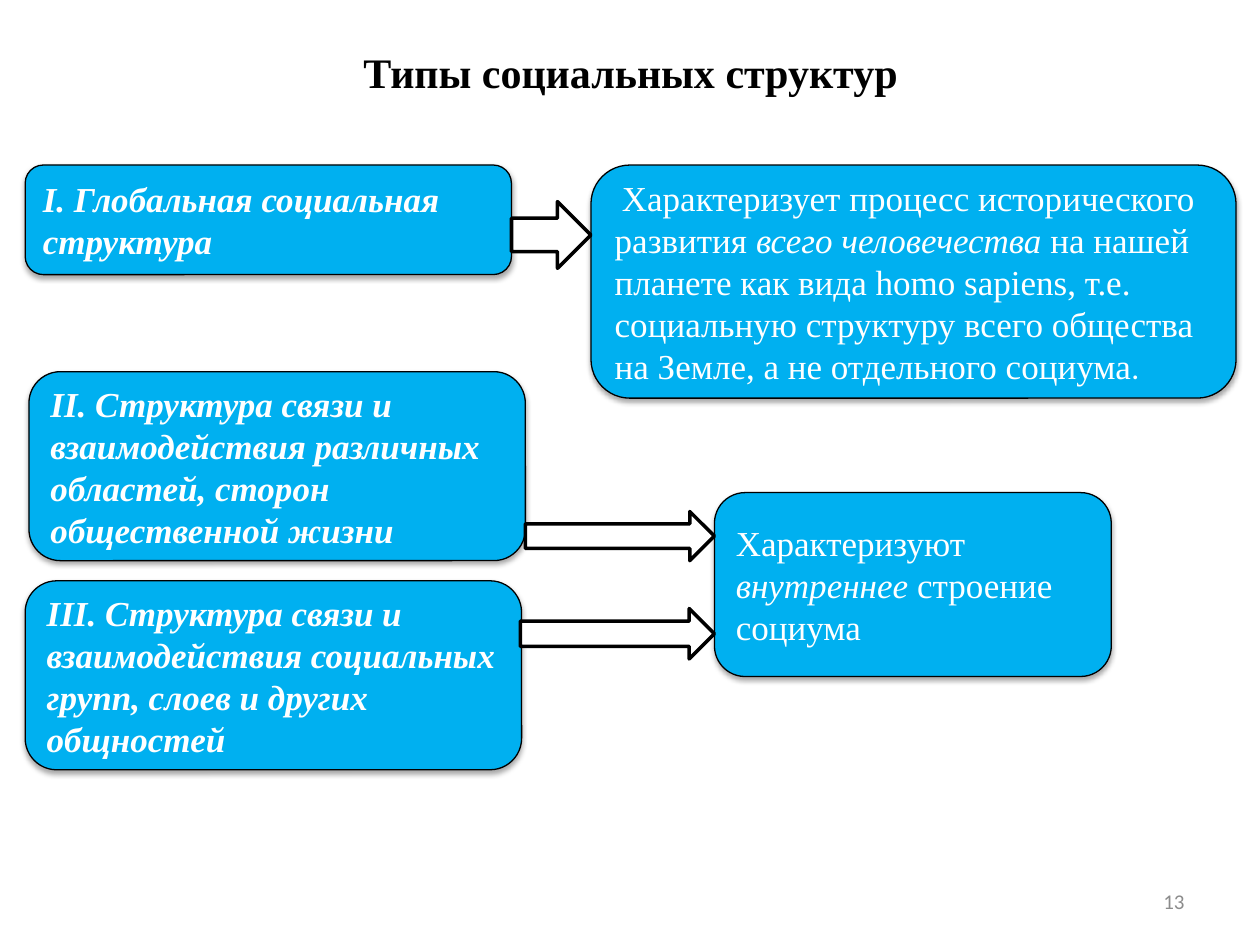
"""Build the slide on the types of social structures."""
from lxml.etree import SubElement
from pptx import Presentation
from pptx.dml.color import RGBColor
from pptx.enum.shapes import MSO_SHAPE as Shape
from pptx.enum.text import MSO_ANCHOR as Anchor, PP_ALIGN as Align
from pptx.oxml.ns import qn
from pptx.util import Inches, Pt

COLORS = {"box": "00B0F0", "white": "FFFFFF", "black": "000000", "number": "8C8C8C"}
SERIF, SANS = "Times New Roman", "Calibri"


def color(name):
    return RGBColor.from_string(COLORS[name])


def add_run(paragraph, text, size=20, font=SERIF, fill="white", bold=False, italic=False):
    run = paragraph.add_run()
    run.text = text
    run.font.size = Pt(size)
    run.font.name = font
    run.font.bold = bold
    run.font.italic = italic
    run.font.color.rgb = color(fill)


def place(shape, left, top, width, height):
    shape.left, shape.top = Inches(left), Inches(top)
    shape.width, shape.height = Inches(width), Inches(height)


def add_filled_shape(slide, kind, position, fill, line_width):
    shape = slide.shapes.add_shape(kind, *map(Inches, position))
    shape.shadow.inherit = False
    shape.fill.solid()
    shape.fill.fore_color.rgb = color(fill)
    shape.line.color.rgb = color("black")
    shape.line.width = Pt(line_width)
    return shape


def add_soft_shadow(shape):
    effects = shape._element.spPr.find(qn("a:effectLst"))
    shadow = SubElement(effects, qn("a:outerShdw"), blurRad="40000", dist="23000",
                        dir="5400000", rotWithShape="0")
    shade = SubElement(shadow, qn("a:srgbClr"), val=COLORS["black"])
    SubElement(shade, qn("a:alpha"), val="35000")


def add_box(slide, position, runs):
    box = add_filled_shape(slide, Shape.ROUNDED_RECTANGLE, position, "box", 0.75)
    add_soft_shadow(box)
    box.text_frame.word_wrap = True
    box.text_frame.margin_top = box.text_frame.margin_bottom = 0
    box.text_frame.vertical_anchor = Anchor.MIDDLE
    paragraph = box.text_frame.paragraphs[0]
    paragraph.alignment = Align.LEFT
    for text, style in runs:
        add_run(paragraph, text, **style)


def add_arrow(slide, position):
    add_filled_shape(slide, Shape.RIGHT_ARROW, position, "white", 2)


def add_title(slide, text):
    title = slide.shapes.title
    place(title, 0.67, 0.3, 8.67, 0.54)
    title.text_frame.vertical_anchor = Anchor.MIDDLE
    paragraph = title.text_frame.paragraphs[0]
    paragraph.alignment = Align.CENTER
    add_run(paragraph, text, size=24, fill="black", bold=True)


def add_page_number(slide, text):
    text_box = slide.shapes.add_textbox(*map(Inches, (7.17, 6.95, 2.33, 0.4)))
    text_box.text_frame.word_wrap = True
    text_box.text_frame.vertical_anchor = Anchor.MIDDLE
    paragraph = text_box.text_frame.paragraphs[0]
    paragraph.alignment = Align.RIGHT
    add_run(paragraph, text, size=12, font=SANS, fill="number")


def main():
    presentation = Presentation()
    presentation.slide_width, presentation.slide_height = Inches(10), Inches(7.5)
    slide = presentation.slides.add_slide(presentation.slide_layouts[5])
    add_title(slide, "Типы социальных структур")
    add_page_number(slide, "13")

    plain, italic = {}, {"italic": True}
    heading = {"bold": True, "italic": True}
    small = {"size": 18, "font": SANS}
    boxes = [
        ((0.2, 1.31, 3.86, 0.87), [("I. Глобальная социальная структура", heading)]),
        ((4.69, 1.31, 5.12, 1.85), [
            (" ", small),
            ("Характеризует процесс исторического развития ", plain),
            ("всего человечества ", italic),
            ("на нашей планете как вида homo sapiens, т.е. социальную структуру "
             "всего общества на Земле, а не отдельного социума", plain),
            (".", small),
        ]),
        ((0.23, 2.95, 3.94, 1.5), [
            ("II. Структура связи и взаимодействия различных областей, "
             "сторон общественной жизни", heading),
        ]),
        ((0.2, 4.61, 3.94, 1.5), [
            ("III. Структура связи и взаимодействия социальных групп, "
             "слоев и других общностей", heading),
        ]),
        ((5.67, 3.91, 3.15, 1.46), [
            ("Характеризуют ", plain),
            ("внутреннее ", italic),
            ("строение социума", plain),
        ]),
    ]
    for position, runs in boxes:
        add_box(slide, position, runs)
    for position in ((4.06, 1.6, 0.63, 0.53), (4.17, 4.06, 1.5, 0.39), (4.13, 4.83, 1.54, 0.4)):
        add_arrow(slide, position)
    presentation.save("out.pptx")


if __name__ == "__main__":
    main()
